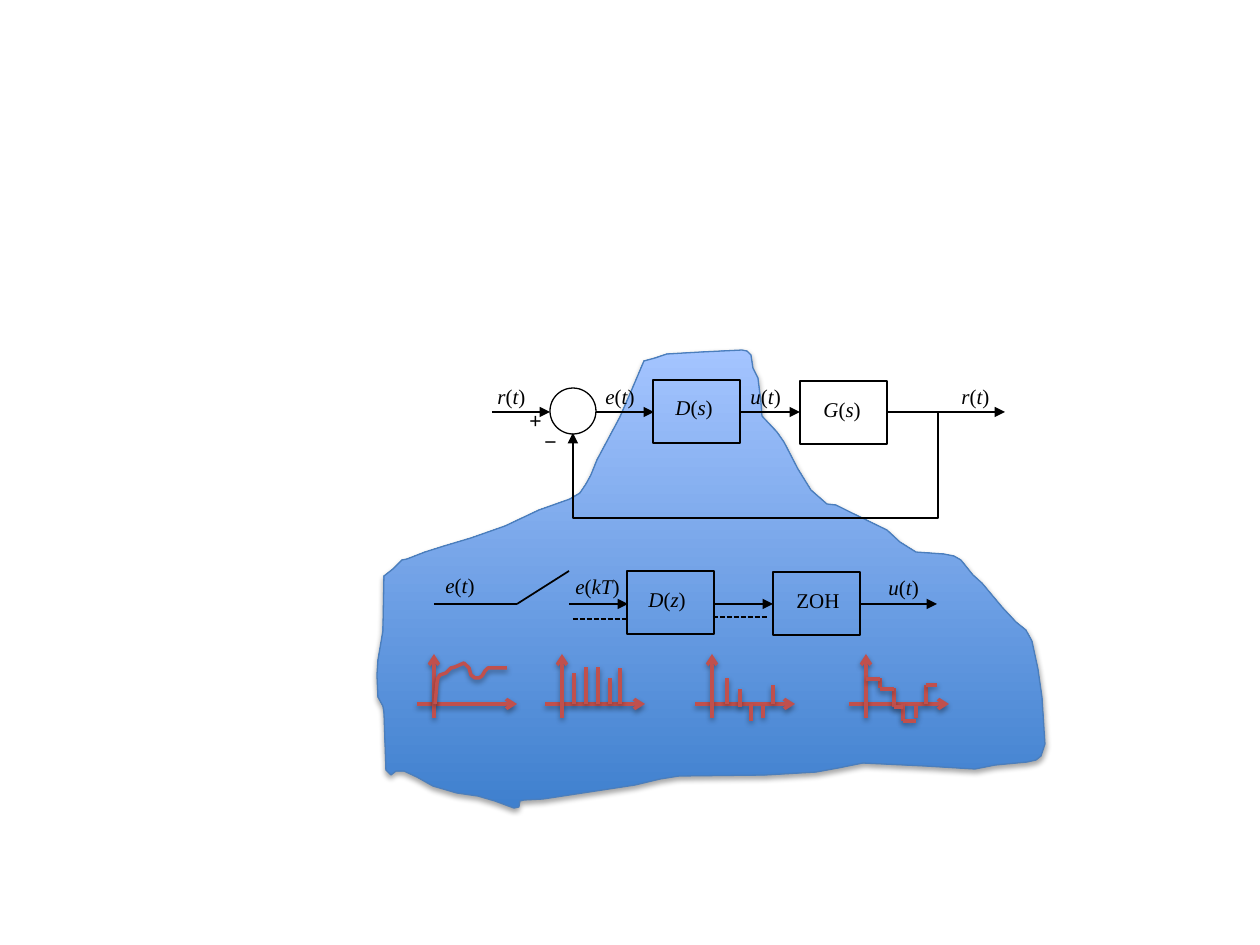
import lxml.etree
import pptx
import pptx.dml.color
import pptx.enum.dml
import pptx.enum.shapes
import pptx.oxml.ns
import pptx.util

PX = 914400 / 126
COLORS = {"ink": "000000", "signal": "C0504D", "cloud_edge": "4B7EBC",
          "cloud_low": "3F80CE", "cloud_high": "A4C4FF"}
RGB = {name: pptx.dml.color.RGBColor.from_string(value) for name, value in COLORS.items()}
qn = pptx.oxml.ns.qn
SHAPES = pptx.enum.shapes.MSO_SHAPE
CONNECTORS = pptx.enum.shapes.MSO_CONNECTOR

deck = pptx.Presentation()
deck.slide_width = pptx.util.Inches(10)
deck.slide_height = pptx.util.Inches(7.5)
slide = deck.slides.add_slide(deck.slide_layouts[6])
shapes = slide.shapes


def outline(part, color, width, shadow=None):
    """Line format, then an effect list that is empty or holds (distance, opacity)."""
    part.line.color.rgb = RGB[color]
    part.line.width = pptx.util.Pt(width)
    effects = lxml.etree.SubElement(part._element.spPr, qn("a:effectLst"))
    if shadow:
        distance, opacity = shadow
        outer = lxml.etree.SubElement(effects, qn("a:outerShdw"), blurRad="40000",
                                      dist=str(distance), dir="5400000", rotWithShape="0")
        black = lxml.etree.SubElement(outer, qn("a:srgbClr"), val=COLORS["ink"])
        lxml.etree.SubElement(black, qn("a:alpha"), val=str(opacity * 1000))


def wire(x1, y1, x2, y2, arrow=None, dash=None, signal=False, kind=CONNECTORS.STRAIGHT):
    part = shapes.add_connector(kind, *[round(v * PX) for v in (x1, y1, x2, y2)])
    if signal:
        outline(part, "signal", 2, (20000, 38))
    else:
        outline(part, "ink", 1)
    if dash:
        part.line.dash_style = dash
    if arrow:
        lxml.etree.SubElement(part.line._get_or_add_ln(), qn("a:tailEnd"), type=arrow)
    return part


# Cloud that ties the controller to its digital version
cloud_points = [
    (644, 361), (633, 387), (620, 417), (597, 460), (591, 475), (586, 484), (580, 493),
    (570, 499), (539, 510), (505, 526), (471, 538), (444, 546), (425, 552), (407, 559),
    (402, 560), (393, 569), (384, 576), (383, 631), (378, 660), (377, 675), (378, 697),
    (383, 706), (384, 712), (386, 770), (391, 775), (396, 771), (404, 771), (417, 777),
    (433, 786), (457, 793), (478, 796), (495, 801), (514, 808), (519, 807), (520, 801),
    (524, 800), (543, 799), (635, 785), (660, 779), (679, 776), (765, 775), (816, 772),
    (838, 768), (863, 763), (926, 766), (975, 769), (995, 765), (1027, 762), (1036, 760),
    (1041, 756), (1045, 744), (1042, 697), (1038, 669), (1032, 641), (1026, 630),
    (1016, 622), (1002, 607), (982, 583), (973, 575), (961, 560), (954, 556), (944, 554),
    (916, 552), (900, 542), (887, 530), (852, 513), (836, 505), (827, 504), (811, 490),
    (798, 469), (784, 442), (777, 432), (762, 416), (761, 402), (758, 378), (753, 368),
    (751, 355), (747, 351), (742, 350), (701, 352), (667, 354), (655, 358)]
pen = shapes.build_freeform(*cloud_points[0], scale=PX)
pen.add_line_segments(cloud_points[1:], close=True)
cloud = pen.convert_to_shape()
cloud.fill.gradient()
cloud.fill.gradient_angle = 90
for stop, color in zip(cloud.fill.gradient_stops, ("cloud_low", "cloud_high")):
    stop.color.rgb = RGB[color]
outline(cloud, "cloud_edge", 0.75, (23000, 35))

# Blocks and summing junction
for kind, x, y, w, h in [
        (SHAPES.OVAL, 550, 388, 46, 46),
        (SHAPES.RECTANGLE, 653, 380, 87, 63),
        (SHAPES.RECTANGLE, 800, 381, 87, 63),
        (SHAPES.RECTANGLE, 627, 571, 87, 63),
        (SHAPES.RECTANGLE, 773, 572, 87, 63)]:
    block = shapes.add_shape(kind, *[round(v * PX) for v in (x, y, w, h)])
    block.fill.background()
    outline(block, "ink", 0.75)

# Signal arrows of both loops
for y, spans in [(412, [(492, 550), (596, 654), (741, 800), (887, 1005)]),
                 (604, [(569, 628), (714, 773), (860, 937)])]:
    for x1, x2 in spans:
        wire(x1, y, x2, y, arrow="triangle")

# Feedback path
feedback = wire(937, 412, 573, 433, arrow="triangle", kind=CONNECTORS.ELBOW)
bend = feedback._element.spPr.find(qn("a:prstGeom"))
bend.set("prst", "bentConnector4")
for guide in bend.findall(qn("a:avLst")):
    bend.remove(guide)
guides = lxml.etree.SubElement(bend, qn("a:avLst"))
for name, value in {"adj1": -300, "adj2": 505000}.items():
    lxml.etree.SubElement(guides, qn("a:gd"), name=name, fmla=f"val {value}")

# Sampler switch and dashed sample paths
wire(434, 604, 517, 604)
wire(517, 604, 569, 571)
for x1, x2, y in [(573, 627, 619), (713, 767, 617)]:
    wire(x1, y, x2, y, dash=pptx.enum.dml.MSO_LINE.SQUARE_DOT)

# Labels: parts between bars are italic and upright in turn
SERIF, SANS = "Times New Roman", "Arial"
for label, font, x, y, w in [
        ("r|(|t|)", SERIF, 485, 377, 55), ("e|(|t|)", SERIF, 593, 377, 57),
        ("D|(|s|)", SERIF, 663, 388, 64), ("u|(|t|)", SERIF, 738, 377, 58),
        ("G|(|s|)", SERIF, 811, 390, 64), ("r|(|t|)", SERIF, 949, 377, 55),
        ("|+", SANS, 517, 401, 37), ("|\u2212", SANS, 532, 422, 37),
        ("e|(|t|)", SERIF, 433, 566, 57), ("e|(|kT|)", SERIF, 563, 567, 72),
        ("D|(|z|)", SERIF, 636, 580, 64), ("|ZOH", SERIF, 784, 581, 71),
        ("u|(|t|)", SERIF, 876, 568, 58)]:
    box = shapes.add_textbox(*[round(v * PX) for v in (x, y, w, 38)])
    box.text_frame.word_wrap = False
    for index, piece in enumerate(label.split("|")):
        if piece:
            run = box.text_frame.paragraphs[0].add_run()
            run.text = piece
            run.font.color.rgb = RGB["ink"]
            style = {"name": font, "size": pptx.util.Pt(12), "italic": index % 2 == 0}
            for key, value in style.items():
                setattr(run.font, key, value)

# Axes of the four small plots
for origin in (434, 562, 712, 866):
    wire(origin - 17, 704, origin + 83, 704, arrow="arrow", signal=True)
    wire(origin, 718, origin, 654, arrow="arrow", signal=True)

# Continuous error curve
error_points = [(435, 704), (436, 694), (437, 683), (438, 678), (440, 675), (446, 673),
                (451, 668), (455, 667), (464, 663), (469, 668), (471, 675), (475, 678),
                (479, 678), (482, 676), (485, 671), (488, 668), (507, 668)]
pen = shapes.build_freeform(*error_points[0], scale=PX)
pen.add_line_segments(error_points[1:], close=False)
error_curve = pen.convert_to_shape()
error_curve.fill.background()
outline(error_curve, "signal", 2, (20000, 38))

# Stems of the sampled error and control, risers of the held control
for x, bottom, top in [
        (574, 704, 673), (586, 704, 667), (598, 704, 667), (610, 704, 678), (620, 704, 668),
        (727, 704, 678), (740, 707, 689), (751, 721, 704), (763, 718, 706), (773, 704, 685),
        (880, 688, 678), (894, 707, 688), (903, 721, 704), (916, 718, 706), (926, 704, 685)]:
    wire(x, bottom, x, top, signal=True)

# Treads of the held control
for x1, x2, y in [(866, 880, 679), (880, 894, 689), (894, 903, 707),
                  (903, 916, 721), (926, 937, 685)]:
    wire(x1, y, x2, y, signal=True)

deck.save("out.pptx")
